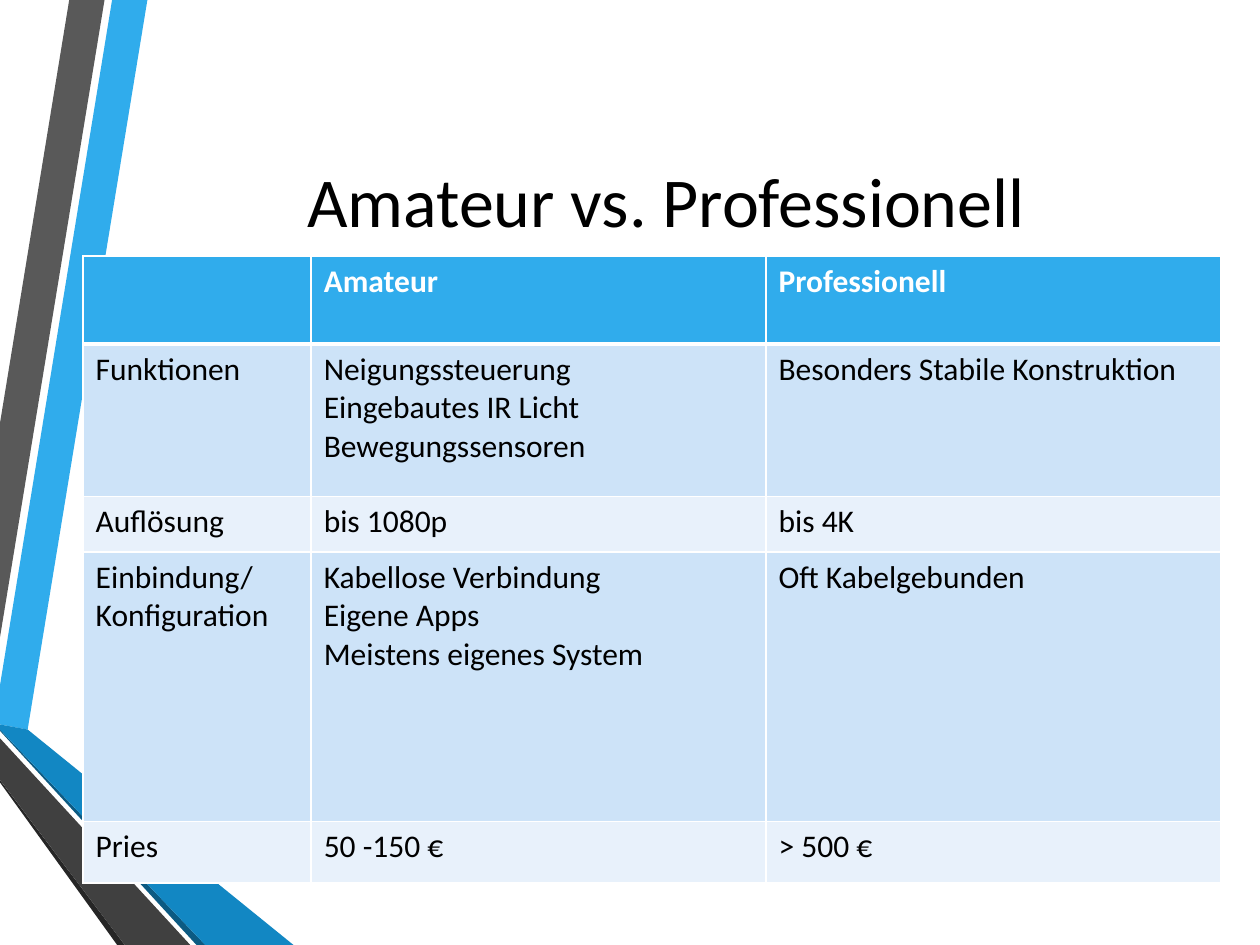
from dataclasses import dataclass

from lxml.etree import SubElement
from pptx import Presentation
from pptx.dml.color import RGBColor
from pptx.enum.text import MSO_ANCHOR, PP_ALIGN
from pptx.oxml.ns import qn
from pptx.util import Inches, Pt


@dataclass(frozen=True)
class Theme:
    font: str = "Calibri"
    title_size: int = 40
    body_size: int = 18
    text: str = "000000"
    white: str = "FFFFFF"
    accent: str = "30ACEC"
    accent_dark: str = "1287C3"
    accent_shadow: str = "0C5A82"
    gray: str = "595959"
    gray_dark: str = "404040"
    gray_shadow: str = "262626"
    bands: tuple = ("CDE3F8", "E8F1FB")
    line: float = 1
    header_line: float = 3


THEME = Theme()

# Outlines in inches, from back to front
RIBBONS = [
    (THEME.accent, [(0, 5.44), (0, 5.75), (0.22, 5.79), (1.17, 0), (0.89, 0)]),
    (THEME.gray, [(0.83, 0), (0.55, 0), (0, 3.36), (0, 5.06)]),
    (THEME.gray_shadow, [(0, 6.19), (0, 6.21), (0.93, 7.5), (0.99, 7.5)]),
    (THEME.accent_shadow, [(0, 5.79), (0, 5.8), (1.56, 7.5), (1.63, 7.5)]),
    (THEME.accent_dark, [(0, 5.79), (1.63, 7.5), (2.33, 7.5), (0.22, 5.79), (0, 5.75)]),
    (THEME.gray_dark, [(0, 6.19), (0.99, 7.5), (1.51, 7.5), (0, 5.86)]),
]

COLUMN_WIDTHS = [1.81, 3.61, 3.61]
ROW_HEIGHTS = [0.7, 1.21, 0.44, 2.14, 0.49]
ROWS = [
    [[], ["Amateur"], ["Professionell"]],
    [
        ["Funktionen"],
        ["Neigungssteuerung", "Eingebautes IR Licht", "Bewegungssensoren"],
        ["Besonders Stabile Konstruktion"],
    ],
    [["Auflösung"], ["bis 1080p"], ["bis 4K"]],
    [
        ["Einbindung/ Konfiguration"],
        ["Kabellose Verbindung", "Eigene Apps", "Meistens eigenes System"],
        ["Oft Kabelgebunden"],
    ],
    [["Pries"], ["50 -150 €"], ["> 500 €"]],
]


def add_run(paragraph, text, size, color, bold=False):
    run = paragraph.add_run()
    run.text = text
    run.font.name = THEME.font
    run.font.size = Pt(size)
    run.font.bold = bold
    run.font.color.rgb = RGBColor.from_string(color)


def set_fill(fill, color):
    fill.solid()
    fill.fore_color.rgb = RGBColor.from_string(color)


def add_ribbons(slide, left, top):
    for color, outline in RIBBONS:
        points = [(left + Inches(x), top + Inches(y)) for x, y in outline]
        builder = slide.shapes.build_freeform(*points[0])
        builder.add_line_segments(points[1:], close=True)
        shape = builder.convert_to_shape()
        shape.shadow.inherit = False
        set_fill(shape.fill, color)
        shape.line.fill.background()


def add_title(slide, left, top, width, height):
    title = slide.shapes.title
    title.left, title.top, title.width, title.height = left, top, width, height
    title.text_frame.vertical_anchor = MSO_ANCHOR.MIDDLE
    paragraph = title.text_frame.paragraphs[0]
    paragraph.alignment = PP_ALIGN.CENTER
    add_run(paragraph, "Amateur vs. Professionell", THEME.title_size, THEME.text)


def set_borders(cell, top, bottom):
    """Draw white cell borders; call before the cell gets its fill."""
    properties = cell._tc.get_or_add_tcPr()
    widths = {"a:lnL": THEME.line, "a:lnR": THEME.line, "a:lnT": top, "a:lnB": bottom}
    for tag, width in widths.items():
        line = SubElement(properties, qn(tag), w=str(Pt(width)))
        fill = SubElement(line, qn("a:solidFill"))
        SubElement(fill, qn("a:srgbClr"), val=THEME.white)


def fill_cell(cell, lines, row_index):
    is_header = row_index == 0
    set_borders(
        cell,
        top=THEME.header_line if row_index == 1 else THEME.line,
        bottom=THEME.header_line if is_header else THEME.line,
    )
    set_fill(cell.fill, THEME.accent if is_header else THEME.bands[(row_index - 1) % 2])
    frame = cell.text_frame
    for index, text in enumerate(lines):
        paragraph = frame.add_paragraph() if index else frame.paragraphs[0]
        color = THEME.white if is_header else THEME.text
        add_run(paragraph, text, THEME.body_size, color, bold=is_header)


def add_comparison_table(slide, left, top, width, height):
    table = slide.shapes.add_table(
        len(ROWS), len(COLUMN_WIDTHS), left, top, width, height
    ).table
    for column, column_width in zip(table.columns, COLUMN_WIDTHS):
        column.width = Inches(column_width)
    for row_index, (row, row_height) in enumerate(zip(table.rows, ROW_HEIGHTS)):
        row.height = Inches(row_height)
        for cell, lines in zip(row.cells, ROWS[row_index]):
            fill_cell(cell, lines, row_index)


def main():
    presentation = Presentation()
    presentation.slide_width = Inches(10)
    presentation.slide_height = Inches(7.5)
    title_only = presentation.slide_layouts.get_by_name("Title Only")
    slide = presentation.slides.add_slide(title_only)
    set_fill(slide.background.fill, THEME.white)
    add_ribbons(slide, Inches(0), Inches(0))
    add_title(slide, Inches(1.07), Inches(0.5), Inches(8.43), Inches(2.17))
    add_comparison_table(
        slide,
        Inches(0.66),
        Inches(2.03),
        Inches(sum(COLUMN_WIDTHS)),
        Inches(sum(ROW_HEIGHTS)),
    )
    presentation.save("out.pptx")


if __name__ == "__main__":
    main()
